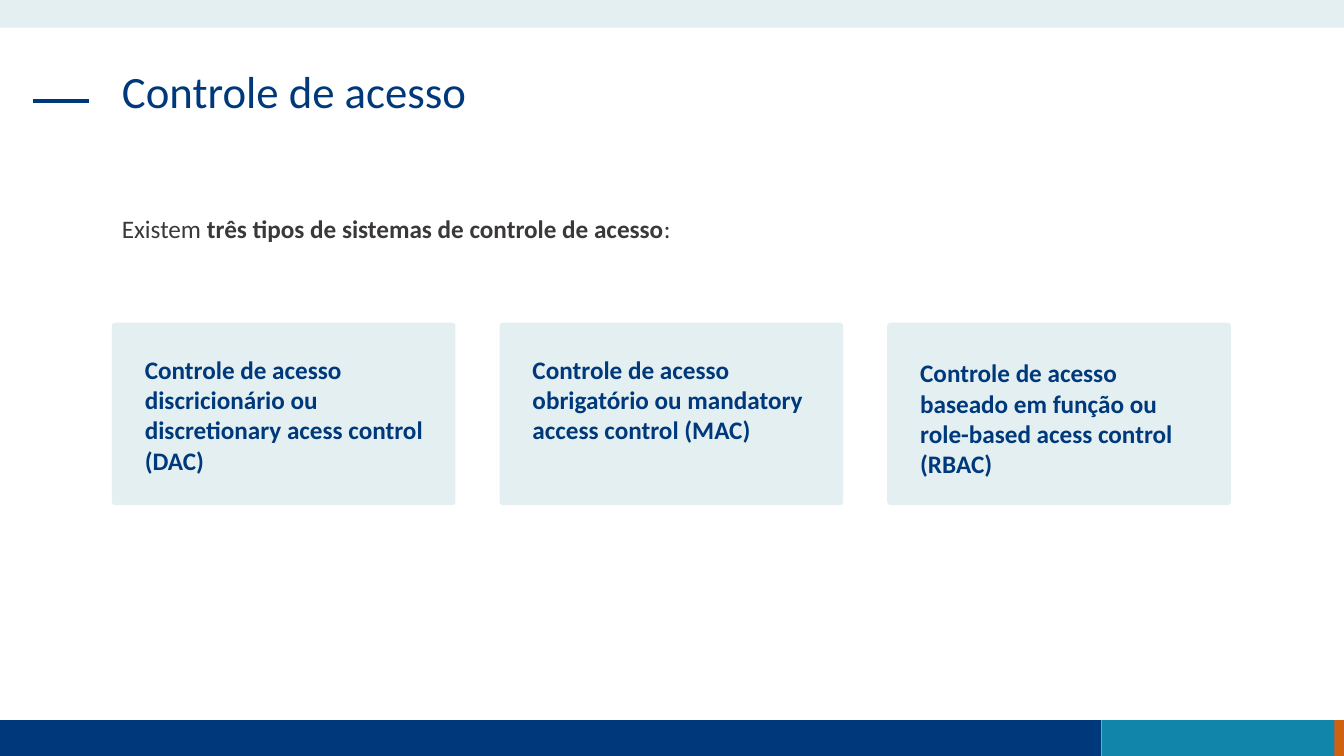
from dataclasses import dataclass

from lxml import etree
from pptx import Presentation
from pptx import util as u
from pptx.dml.color import RGBColor
from pptx.enum import shapes, text
from pptx.oxml import ns


@dataclass(frozen=True)
class Theme:
    font: str = "Calibri"
    navy: str = "00397B"
    teal: str = "1185AA"
    orange: str = "D06110"
    pale: str = "E3EFF1"
    ink: str = "3B3838"
    title: int = 32
    body: int = 18


theme = Theme()
Cm = u.Cm


def add_block(kind, x, y, w, h, color):
    sp = s.shapes.add_shape(kind, Cm(x), Cm(y), Cm(w), Cm(h))
    sp.shadow.inherit = False
    sp.fill.solid()
    sp.fill.fore_color.rgb = RGBColor.from_string(color)
    sp.line.fill.background()
    return sp


def add_run(p, words, size, color, bold=False):
    r = p.add_run()
    r.text = words
    r.font.name = theme.font
    r.font.size = u.Pt(size)
    r.font.bold = bold
    r.font.color.rgb = RGBColor.from_string(color)


prs = Presentation()
prs.slide_width, prs.slide_height = Cm(33.87), Cm(19.05)
s = prs.slides.add_slide(prs.slide_layouts[5])

# Top band and footer bands
rect = shapes.MSO_SHAPE.RECTANGLE
for x, y, w, h, color in [
    (32.82, 18.15, 1.05, 0.9, theme.orange),
    (0, 18.15, 27.76, 0.9, theme.navy),
    (27.76, 18.15, 5.87, 0.9, theme.teal),
    (0, 0, 33.87, 0.7, theme.pale),
]:
    add_block(rect, x, y, w, h, color)

# Dash beside the title
dash = s.shapes.add_connector(
    shapes.MSO_CONNECTOR.STRAIGHT, Cm(0.84), Cm(2.54), Cm(2.24), Cm(2.54))
dash.line.color.rgb = RGBColor.from_string(theme.navy)
dash.line.width = u.Pt(3)
etree.SubElement(dash._element.spPr, ns.qn("a:effectLst"))

# Title
title = s.shapes.title
title.left, title.top, title.width, title.height = Cm(2.82), Cm(1.63), Cm(28.2), Cm(2.39)
tf = title.text_frame
tf.word_wrap = True
tf.auto_size = text.MSO_AUTO_SIZE.NONE
tf.vertical_anchor = text.MSO_ANCHOR.TOP
p = tf.paragraphs[0]
p.alignment = text.PP_ALIGN.LEFT
p.line_spacing = 0.9
add_run(p, "Controle de acesso", theme.title, theme.navy)

# Introductory sentence
intro = s.shapes.add_textbox(Cm(2.82), Cm(5.26), Cm(16.94), Cm(1.03))
intro.text_frame.word_wrap = True
p = intro.text_frame.paragraphs[0]
add_run(p, "Existem ", theme.body, theme.ink)
add_run(p, "três tipos de sistemas de controle de acesso", theme.body, theme.ink, True)
add_run(p, ":", theme.body, theme.ink)

# Three cards, evenly spaced
card_left, card_top, card_w, card_h, pitch = 2.82, 8.13, 8.66, 4.6, 9.77
cards = [
    ("Controle de acesso discricionário ou discretionary acess control (DAC)", 8.8, 3.33),
    ("Controle de acesso obrigatório ou mandatory access control (MAC)", 8.8, 2.56),
    ("Controle de acesso baseado em função ou role-based acess control (RBAC)", 8.89, 3.33),
]
for i, (words, label_top, label_h) in enumerate(cards):
    x = card_left + i * pitch
    card = add_block(shapes.MSO_SHAPE.ROUNDED_RECTANGLE, x, card_top, card_w, card_h, theme.pale)
    card.adjustments[0] = 0.019
    label = s.shapes.add_textbox(Cm(x + 0.58), Cm(label_top), Cm(7.52), Cm(label_h))
    label.text_frame.word_wrap = True
    add_run(label.text_frame.paragraphs[0], words, theme.body, theme.navy, True)

prs.save("out.pptx")
